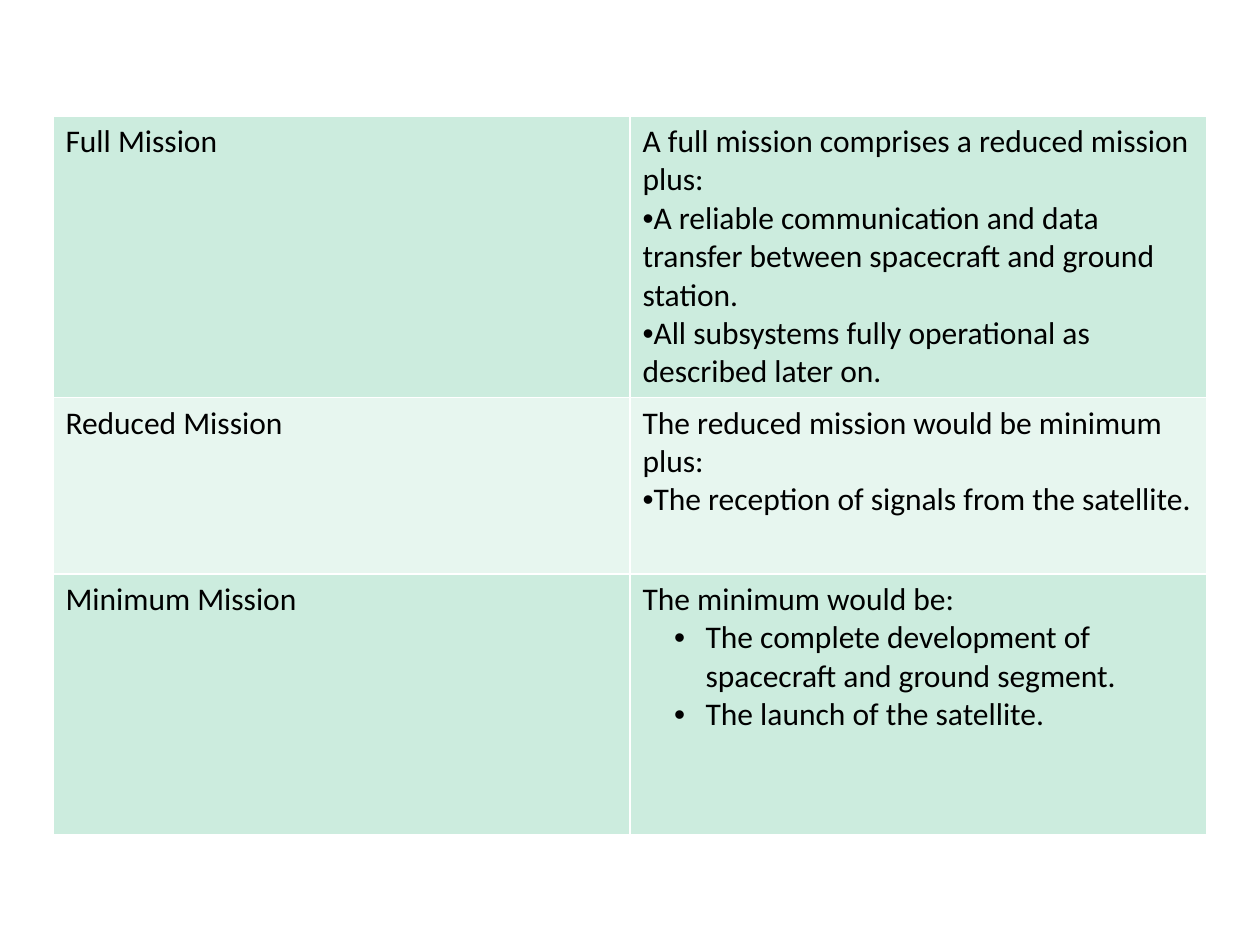
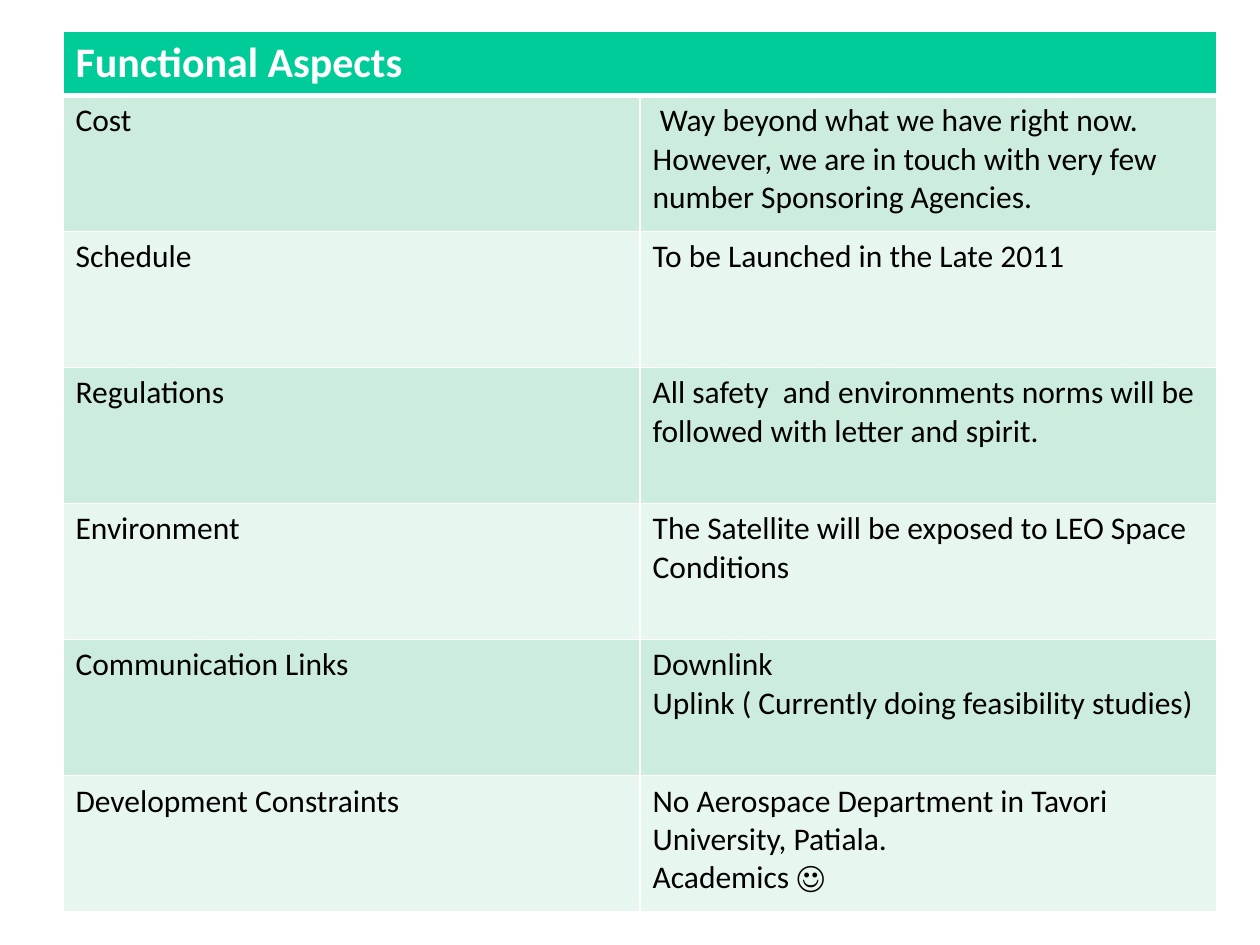
import dataclasses
import typing

import lxml.etree
import pptx
import pptx.dml.color
import pptx.oxml.ns
import pptx.util

Inches = pptx.util.Inches
Pt = pptx.util.Pt

# Shared style
COLORS = {
    "header": "00CC99",
    "band_dark": "CCECDE",
    "band_light": "E7F6EF",
    "border": "FFFFFF",
    "header_text": "FFFFFF",
    "body_text": "000000",
}
BODY_FONT = {"name": "Calibri", "size": Pt(18), "bold": False}
HEADER_FONT = {"name": "Calibri", "size": Pt(24), "bold": True}
COLUMN_WIDTH = Inches(4.58)
BORDER_POINTS = 1
HEADER_RULE_POINTS = 3


@dataclasses.dataclass(frozen=True)
class Line:
    text: str
    bullet: bool = False
    level: int = 0


@dataclasses.dataclass(frozen=True)
class Row:
    label: str
    lines: tuple[Line, ...]
    height: float


@dataclasses.dataclass(frozen=True)
class TableSpec:
    left: float
    top: float
    rows: tuple[Row, ...]
    header: typing.Optional[str] = None
    header_height: float = 0.5


# Slide content
MISSIONS = TableSpec(0.42, 0.92, (
    Row("Full Mission", (
        Line("A full mission comprises a reduced mission plus:"),
        Line("A reliable communication and data transfer between "
             "spacecraft and ground station.", bullet=True),
        Line("All subsystems fully operational as described later on.", bullet=True),
    ), 2.23),
    Row("Reduced Mission", (
        Line("The reduced mission would be minimum plus:"),
        Line("The reception of signals from the satellite.", bullet=True),
    ), 1.4),
    Row("Minimum Mission", (
        Line("The minimum would be:"),
        Line("The complete development of spacecraft and ground segment.",
             bullet=True, level=1),
        Line("The launch of the satellite.", bullet=True, level=1),
    ), 2.07),
))

ASPECTS = {
    "Cost": (" Way beyond what we have right now. However, we are in touch "
             "with very few number Sponsoring Agencies.",),
    "Schedule": ("To be Launched in the Late 2011",),
    "Regulations": ("All safety  and environments norms will be followed "
                    "with letter and spirit.",),
    "Environment": ("The Satellite will be exposed to LEO Space Conditions",),
    "Communication Links": ("Downlink",
                            "Uplink ( Currently doing feasibility studies)"),
    "Development Constraints": ("No Aerospace Department in Tavori University, Patiala.",
                                "Academics ☺"),
}
FUNCTIONAL_ASPECTS = TableSpec(0.5, 0.25, tuple(
    Row(label, tuple(Line(text) for text in texts), 1.08)
    for label, texts in ASPECTS.items()
), header="Functional Aspects")


def rgb(name: str) -> pptx.dml.color.RGBColor:
    return pptx.dml.color.RGBColor.from_string(COLORS[name])


def add_xml(parent, tag: str, **attributes: str):
    return lxml.etree.SubElement(parent, pptx.oxml.ns.qn(tag), attributes)


def paint_cell(cell, fill: str, top: float = BORDER_POINTS,
               bottom: float = BORDER_POINTS) -> None:
    """Give a cell its white borders and its fill."""
    properties = cell._tc.get_or_add_tcPr()
    widths = {"a:lnL": BORDER_POINTS, "a:lnR": BORDER_POINTS,
              "a:lnT": top, "a:lnB": bottom}
    for tag, points in widths.items():
        border = add_xml(properties, tag, w=str(Pt(points)))
        add_xml(add_xml(border, "a:solidFill"), "a:srgbClr", val=COLORS["border"])
    cell.fill.solid()
    cell.fill.fore_color.rgb = rgb(fill)


def add_bullet(paragraph, level: int) -> None:
    """Bullets run on at the first level and hang at the second."""
    paragraph.level = level
    properties = paragraph._p.get_or_add_pPr()
    properties.set("marL", str(Inches(0.5 * level)))
    properties.set("indent", str(Inches(-0.25 * level)))
    add_xml(properties, "a:buFont", typeface="Arial")
    add_xml(properties, "a:buChar", char="•")


def write_cell(cell, lines: tuple[Line, ...], font: dict[str, typing.Any],
               color: str) -> None:
    frame = cell.text_frame
    for index, line in enumerate(lines):
        paragraph = frame.add_paragraph() if index else frame.paragraphs[0]
        if line.bullet:
            add_bullet(paragraph, line.level)
        run = paragraph.add_run()
        run.text = line.text
        for attribute, value in font.items():
            setattr(run.font, attribute, value)
        run.font.color.rgb = rgb(color)


def add_banded_table(slide, spec: TableSpec) -> None:
    first_body_row = 1 if spec.header else 0
    heights = [row.height for row in spec.rows]
    if spec.header:
        heights.insert(0, spec.header_height)
    table = slide.shapes.add_table(
        len(heights), 2, Inches(spec.left), Inches(spec.top),
        2 * COLUMN_WIDTH, Inches(sum(heights))).table
    table.first_row = table.horz_banding = False
    for column in table.columns:
        column.width = COLUMN_WIDTH
    for table_row, height in zip(table.rows, heights):
        table_row.height = Inches(height)

    # Header across both columns
    if spec.header:
        table.cell(0, 0).merge(table.cell(0, 1))
        for cell in table.rows[0].cells:
            paint_cell(cell, "header", bottom=HEADER_RULE_POINTS)
        write_cell(table.cell(0, 0), (Line(spec.header),), HEADER_FONT, "header_text")

    # Body rows in alternating bands
    for index, row in enumerate(spec.rows):
        fill = "band_light" if index % 2 else "band_dark"
        top = HEADER_RULE_POINTS if spec.header and index == 0 else BORDER_POINTS
        cells = table.rows[index + first_body_row].cells
        for cell, lines in zip(cells, ((Line(row.label),), row.lines)):
            paint_cell(cell, fill, top=top)
            write_cell(cell, lines, BODY_FONT, "body_text")


def main() -> None:
    presentation = pptx.Presentation()
    presentation.slide_width = Inches(10)
    presentation.slide_height = Inches(7.5)
    blank_layout = presentation.slide_layouts[6]
    for spec in (MISSIONS, FUNCTIONAL_ASPECTS):
        add_banded_table(presentation.slides.add_slide(blank_layout), spec)
    presentation.save("out.pptx")


if __name__ == "__main__":
    main()
